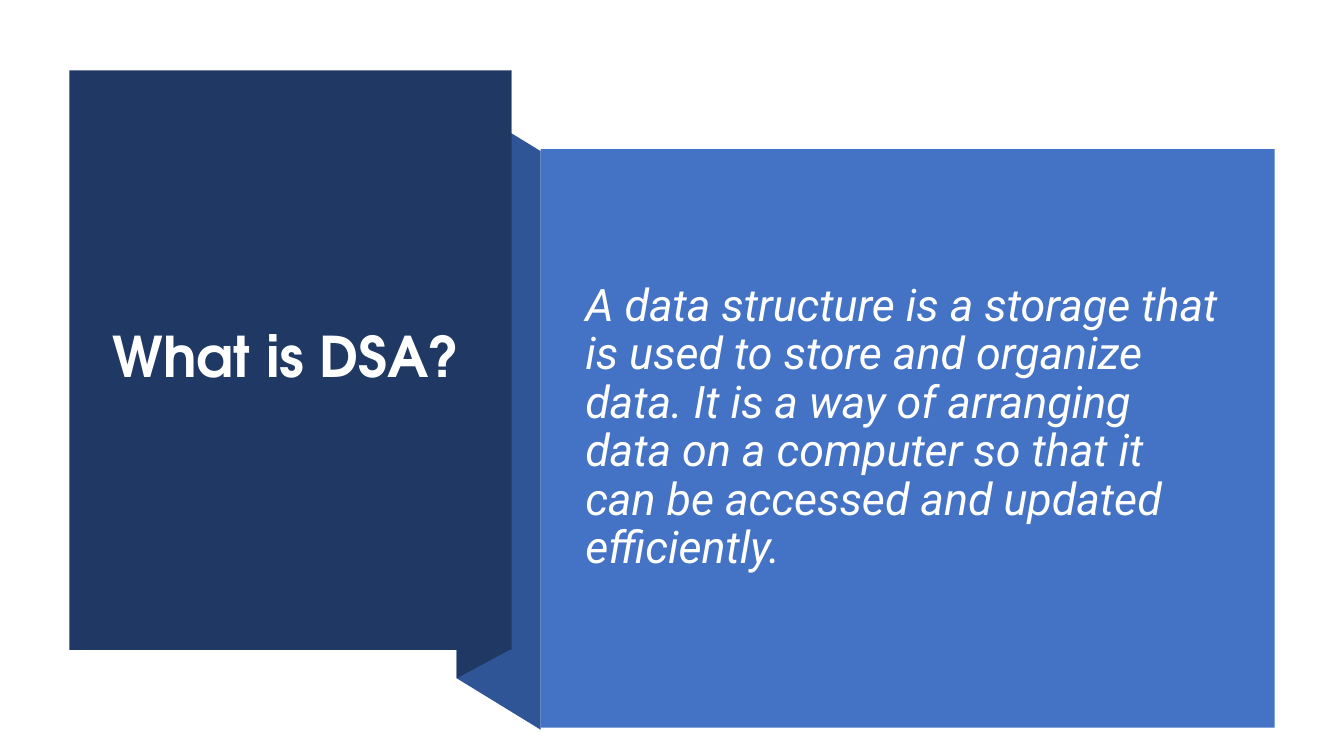
from pptx import Presentation
from pptx.dml.color import RGBColor
from pptx.enum.shapes import MSO_SHAPE
from pptx.enum.text import MSO_ANCHOR, PP_ALIGN
from pptx.util import Pt

RECTANGLE = MSO_SHAPE.RECTANGLE
MIDDLE = MSO_ANCHOR.MIDDLE
LEFT = PP_ALIGN.LEFT

PX = 9525  # EMU per px, 96 px to the inch
NAVY, FOLD_BLUE, BLUE, WHITE = "203864", "2F5597", "4472C4", "FFFFFF"
DEFINITION = (
    "A data structure is a storage that is used to store and organize data. "
    "It is a way of arranging data on a computer so that it can be accessed "
    "and updated efficiently."
)


def px(length):
    return length * PX


def color(hex_code):
    return RGBColor.from_string(hex_code)


def paint(shape, hex_code):
    shape.fill.solid()
    shape.fill.fore_color.rgb = color(hex_code)
    shape.line.fill.background()
    shape.shadow.inherit = False


def add_panel(slide, box, hex_code):
    panel = slide.shapes.add_shape(RECTANGLE, *map(px, box))
    paint(panel, hex_code)


def add_band(slide, left, right, left_span, right_span, hex_code):
    """Slanted band between two vertical edges, each a (top, bottom) span."""
    builder = slide.shapes.build_freeform(left, left_span[0], scale=PX)
    builder.add_line_segments(
        [(right, right_span[0]), (right, right_span[1]), (left, left_span[1])],
        close=True,
    )
    paint(builder.convert_to_shape(), hex_code)


def add_text(slide, box, text, font, size, bold=False, italic=False, before=0):
    frame = slide.shapes.add_textbox(*map(px, box)).text_frame
    frame.word_wrap = True
    frame.vertical_anchor = MIDDLE
    paragraph = frame.paragraphs[0]
    paragraph.alignment = LEFT
    paragraph.line_spacing = 0.9
    paragraph.space_before = Pt(before)
    run = paragraph.add_run()
    run.text = text
    run.font.name = font
    run.font.size = Pt(size)
    run.font.bold = bold
    run.font.italic = italic
    run.font.color.rgb = color(WHITE)


def add_ribbon(slide, crease, title_right, card_left, top, height):
    """Folded ribbon that joins the title panel to the definition card."""
    crease_span = (top + 28, top + 28 + height)
    add_band(slide, crease, card_left, crease_span,
             (top + 77, top + 77 + height), FOLD_BLUE)
    add_band(slide, crease, title_right, crease_span,
             (top, top + height), NAVY)


def add_title_panel(slide, left, top, width, height):
    add_panel(slide, (left, top, width, height), NAVY)
    add_text(slide, (left + 32, top + 36, width - 4, height - 73),
             "What is DSA?", "TeX Gyre Adventor", 40, bold=True)


def add_definition_card(slide, left, top, width, height):
    add_panel(slide, (left, top, width, height), BLUE)
    add_text(slide, (left + 33, top + 38, width - 74, height - 96),
             DEFINITION, "Roboto", 32, italic=True, before=10)


def main():
    deck = Presentation()
    deck.slide_width, deck.slide_height = px(1280), px(720)
    slide = deck.slides.add_slide(deck.slide_layouts[6])
    add_ribbon(slide, crease=435, title_right=487, card_left=515,
               top=67, height=551)
    add_title_panel(slide, 66, 67, 421, 552)
    add_definition_card(slide, 515, 142, 699, 551)
    deck.save("out.pptx")


if __name__ == "__main__":
    main()
